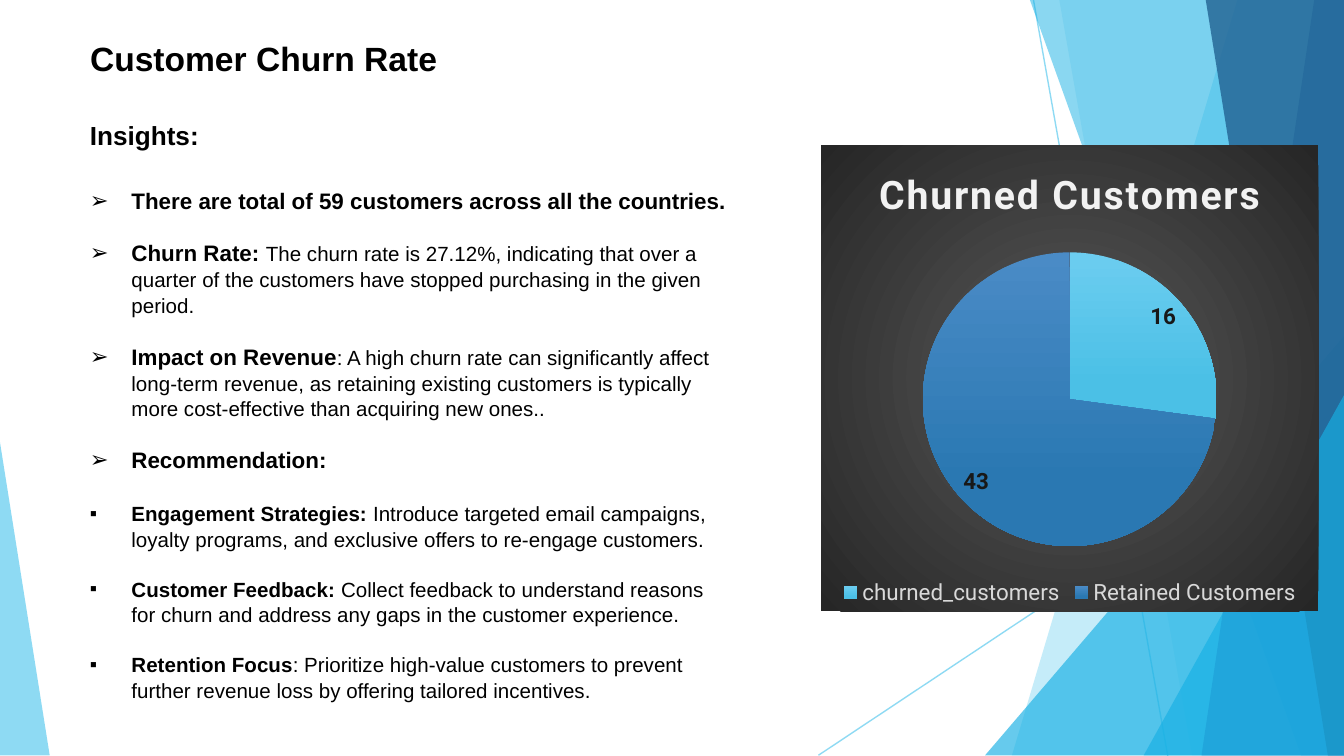
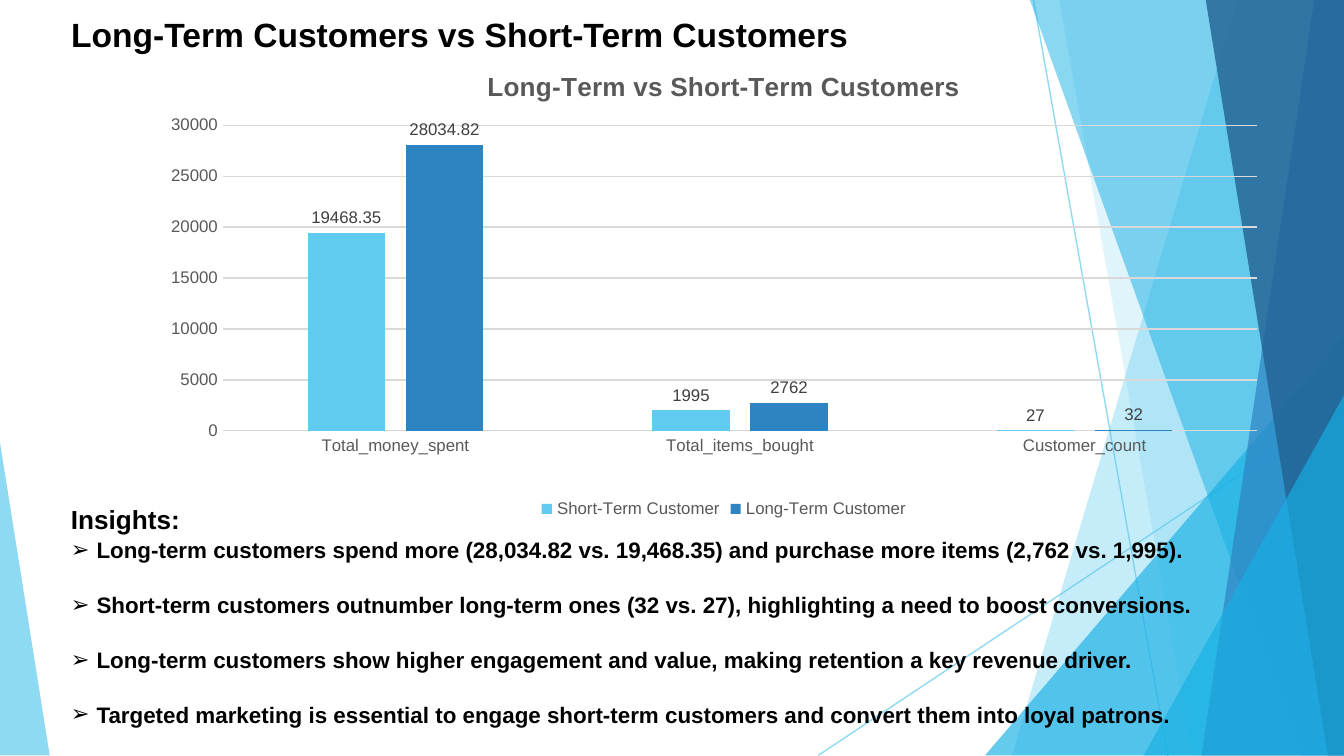
from dataclasses import dataclass
from typing import NamedTuple

from lxml.etree import SubElement
from pptx import Presentation
from pptx.chart.chart import Chart
from pptx.chart.data import CategoryChartData
from pptx.dml.color import RGBColor
from pptx.enum.chart import XL_CHART_TYPE, XL_LABEL_POSITION, XL_LEGEND_POSITION, XL_TICK_MARK
from pptx.enum.shapes import MSO_CONNECTOR, MSO_SHAPE
from pptx.enum.text import MSO_ANCHOR, PP_ALIGN
from pptx.oxml import parse_xml
from pptx.oxml.ns import nsdecls, qn
from pptx.slide import Slide, SlideLayout
from pptx.text.text import Font
from pptx.util import Inches, Pt

COLORS = {
    "black": "000000", "sky": "5FCBEF", "cyan": "17B0E4", "blue": "2E83C3",
    "navy": "226292", "gray": "595959", "dark": "262626", "label": "404040",
    "ink": "181818", "grid": "D9D9D9", "pale": "F2F2F2",
    "sky top": "6CCDF0", "sky low": "4BC0E6", "blue top": "4A8BC6", "blue low": "2A78B2",
}
SANS = "Arial"
ROBOTO = "Roboto"
WIDE, HIGH = 10, 5.62
TOP = -0.01
SPACING = 1.04


class Box(NamedTuple):
    left: float
    top: float
    width: float
    height: float

    def inches(self) -> list[int]:
        return [Inches(side) for side in self]


@dataclass
class Ray:
    start: tuple[float, float]
    end: tuple[float, float]
    color: str = "sky"
    alpha: int = 70


@dataclass
class Band:
    head: float
    foot: float
    color: str
    alpha: int


@dataclass
class Peak:
    box: Box
    tip: float
    color: str
    alpha: int


@dataclass
class Point:
    lead: str
    rest: str = ""
    size: int = 12
    gap: float = 13
    mark: str = "➢"


DECOR = [
    Ray((7.69, 0), (8.69, 5.63)),
    Ray((WIDE, 3.02), (6.09, HIGH)),
    Band(9.21, 7.53, "sky", 36),
    Band(7.88, 8.87, "sky", 20),
    Peak(Box(7.33, 2.5, 2.67, 3.12), 1, "cyan", 66),
    Band(7.66, 9.68, "cyan", 50),
    Band(9.78, 8.94, "blue", 70),
    Band(8.97, 9.88, "navy", 80),
    Peak(Box(8.51, 2.94, 1.49, 2.68), 1, "cyan", 66),
    Peak(Box(0, 3.29, 0.37, 2.33), 0, "sky", 70),
]

CHURN = [
    Point("There are total of 59 customers across all the countries.", gap=19),
    Point("Churn Rate: ", "The churn rate is 27.12%, indicating that over a quarter of the "
          "customers have stopped purchasing in the given period."),
    Point("Impact on Revenue", ": A high churn rate can significantly affect long-term revenue, as "
          "retaining existing customers is typically more cost-effective than acquiring new ones.."),
    Point("Recommendation:"),
    Point("Engagement Strategies: ", "Introduce targeted email campaigns, loyalty programs, and "
          "exclusive offers to re-engage customers.", 11, 14.4, "▪"),
    Point("Customer Feedback: ", "Collect feedback to understand reasons for churn and address any "
          "gaps in the customer experience.", 11, mark="▪"),
    Point("Retention Focus", ": Prioritize high-value customers to prevent further revenue loss by "
          "offering tailored incentives.", 11, mark="▪"),
]

TERMS = [
    Point("Long-term customers spend more (28,034.82 vs. 19,468.35) and purchase more items "
          "(2,762 vs. 1,995).", gap=0),
    Point("Short-term customers outnumber long-term ones (32 vs. 27), highlighting a need to boost "
          "conversions.", gap=14.4),
    Point("Long-term customers show higher engagement and value, making retention a key revenue "
          "driver.", gap=14.4),
    Point("Targeted marketing is essential to engage short-term customers and convert them into "
          "loyal patrons.", gap=14.4),
]


def rgb(name: str) -> RGBColor:
    return RGBColor.from_string(COLORS[name])


def style(font: Font, size: float, color: str = "black", bold: bool = False, face: str = SANS) -> None:
    font.name = face
    font.size = Pt(size)
    font.bold = bold
    font.color.rgb = rgb(color)


def add_ray(slide: Slide, ray: Ray):
    ends = [Inches(side) for side in ray.start + ray.end]
    line = slide.shapes.add_connector(MSO_CONNECTOR.STRAIGHT, *ends)
    line.line.color.rgb = rgb(ray.color)
    line.line.width = Pt(0.75)
    SubElement(line.element.spPr, qn("a:effectLst"))
    return line


def add_band(slide: Slide, band: Band):
    dots = [(band.head, TOP), (WIDE, TOP), (WIDE, HIGH), (band.foot, HIGH)]
    dots = [(Inches(x), Inches(y)) for x, y in dots]
    pen = slide.shapes.build_freeform(*dots[0])
    pen.add_line_segments(dots[1:])
    return pen.convert_to_shape()


def add_peak(slide: Slide, peak: Peak):
    shape = slide.shapes.add_shape(MSO_SHAPE.ISOSCELES_TRIANGLE, *peak.box.inches())
    shape.adjustments[0] = peak.tip
    return shape


def add_decor(slide: Slide, layout: SlideLayout) -> None:
    makers = {Ray: add_ray, Band: add_band, Peak: add_peak}
    for order, part in enumerate(DECOR):
        shape = makers[type(part)](slide, part)
        if not isinstance(part, Ray):
            shape.shadow.inherit = False
            shape.fill.solid()
            shape.fill.fore_color.rgb = rgb(part.color)
            shape.line.fill.background()
        node = shape.element
        tint = node.xpath("./p:spPr//a:srgbClr")[0]
        SubElement(tint, qn("a:alpha")).set("val", str(part.alpha * 1000))
        node.xpath(".//p:cNvPr")[0].set("id", str(100 + order))
        layout.shapes.element.insert(2 + order, node)


def add_title(slide: Slide, text: str, box: Box) -> None:
    title = slide.shapes.title
    title.left, title.top, title.width, title.height = box.inches()
    frame = title.text_frame
    frame.text = text
    frame.word_wrap = True
    frame.vertical_anchor = MSO_ANCHOR.TOP
    frame.paragraphs[0].alignment = PP_ALIGN.LEFT
    style(frame.paragraphs[0].runs[0].font, 18, bold=True)


def add_notes(slide: Slide, box: Box, points: list[Point], indent: float) -> None:
    frame = slide.shapes.add_textbox(*box.inches()).text_frame
    frame.word_wrap = True
    frame.text = "Insights:"
    head = frame.paragraphs[0]
    head.line_spacing = SPACING
    style(head.runs[0].font, 14, bold=True)
    for point in points:
        para = frame.add_paragraph()
        para.text = point.lead
        para.line_spacing = SPACING
        para.space_before = Pt(point.gap)
        style(para.runs[0].font, point.size, bold=True)
        if point.rest:
            run = para.add_run()
            run.text = point.rest
            style(run.font, 11)
        props = para._p.get_or_add_pPr()
        props.set("marL", str(Inches(indent)))
        props.set("indent", str(-Inches(indent)))
        SubElement(props, qn("a:buFont")).set("typeface", SANS)
        SubElement(props, qn("a:buChar")).set("char", point.mark)


def add_chart(slide: Slide, kind: XL_CHART_TYPE, box: Box, cats: list[str],
              series: dict[str, list[float]], face: str) -> Chart:
    data = CategoryChartData()
    data.categories = cats
    for name, values in series.items():
        data.add_series(name, values)
    chart = slide.shapes.add_chart(kind, *box.inches(), data).chart
    style(chart.font, 10, face=face)
    return chart


def set_title(chart: Chart, text: str, size: float, color: str, face: str) -> Font:
    chart.has_title = True
    frame = chart.chart_title.text_frame
    frame.text = text
    font = frame.paragraphs[0].runs[0].font
    style(font, size, color, True, face)
    chart.chart_title.include_in_layout = False
    return font


def set_legend(chart: Chart, size: float, color: str, face: str) -> None:
    chart.has_legend = True
    chart.legend.position = XL_LEGEND_POSITION.BOTTOM
    chart.legend.include_in_layout = False
    style(chart.legend.font, size, color, face=face)


def set_plot(chart: Chart, box: Box) -> None:
    area = chart.element.xpath(".//c:plotArea")[0]
    for old in area.findall(qn("c:layout")):
        area.remove(old)
    tags = [("layoutTarget", "inner"), ("xMode", "edge"), ("yMode", "edge"), *zip("xywh", box)]
    rows = "".join(f'<c:{tag} val="{val}"/>' for tag, val in tags)
    area.insert(0, parse_xml(
        f'<c:layout {nsdecls("c")}><c:manualLayout>{rows}</c:manualLayout></c:layout>'))


def set_glow(chart: Chart, inner: str, outer: str) -> None:
    stops = "".join(f'<a:gs pos="{pos}"><a:srgbClr val="{COLORS[name]}"/></a:gs>'
                    for pos, name in ((0, inner), (100000, outer)))
    chart.element.xpath("./c:chart")[0].addnext(parse_xml(
        f'<c:spPr {nsdecls("c", "a")}><a:gradFill><a:gsLst>{stops}</a:gsLst><a:path path="circle">'
        '<a:fillToRect l="50000" t="50000" r="50000" b="50000"/></a:path></a:gradFill>'
        '<a:ln><a:noFill/></a:ln></c:spPr>'))


def add_pie(slide: Slide) -> None:
    chart = add_chart(slide, XL_CHART_TYPE.PIE, Box(6.11, 1.08, 3.7, 3.47),
                      ["churned_customers", "Retained Customers"], {"Series 1": [16, 43]}, ROBOTO)
    font = set_title(chart, "Churned Customers", 21, "pale", ROBOTO)
    font._element.set("spc", "100")
    set_legend(chart, 12, "grid", ROBOTO)
    set_plot(chart, Box(0.2, 0.23, 0.6, 0.63))
    set_glow(chart, "gray", "dark")
    plot = chart.plots[0]
    plot.vary_by_categories = True
    for index, tone in enumerate(("sky", "blue")):
        fill = plot.series[0].points[index].format.fill
        fill.gradient()
        fill.gradient_angle = 270
        for stop, part, place in zip(fill.gradient_stops, ("top", "low"), (0, 0.78)):
            stop.color.rgb = rgb(f"{tone} {part}")
            stop.position = place
    labels = plot.series[0].data_labels
    labels.show_value = True
    labels.position = XL_LABEL_POSITION.BEST_FIT
    style(labels.font, 12, "ink", True, ROBOTO)


def add_bars(slide: Slide) -> None:
    chart = add_chart(slide, XL_CHART_TYPE.COLUMN_CLUSTERED, Box(1.2, 0.36, 8.37, 3.54),
                      ["Total_money_spent", "Total_items_bought", "Customer_count"],
                      {"Short-Term Customer": [19468.35, 1995, 27],
                       "Long-Term Customer": [28034.82, 2762, 32]}, SANS)
    set_title(chart, "Long-Term vs Short-Term Customers", 14, "gray", SANS)
    set_legend(chart, 9, "gray", SANS)
    set_plot(chart, Box(0.055, 0.162, 0.919, 0.642))
    plot = chart.plots[0]
    plot.vary_by_categories = False
    plot.gap_width, plot.overlap = 219, -27
    for series, color in zip(plot.series, ("sky", "blue")):
        series.format.fill.solid()
        series.format.fill.fore_color.rgb = rgb(color)
        series.data_labels.show_value = True
        series.data_labels.position = XL_LABEL_POSITION.OUTSIDE_END
        style(series.data_labels.font, 9, "label")
    cats, vals = chart.category_axis, chart.value_axis
    for axis in (cats, vals):
        axis.major_tick_mark = axis.minor_tick_mark = XL_TICK_MARK.NONE
        style(axis.tick_labels.font, 9, "gray")
    vals.minimum_scale, vals.maximum_scale, vals.major_unit = 0, 30000, 5000
    vals.format.line.fill.background()
    for line in (cats.format.line, vals.major_gridlines.format.line):
        line.color.rgb = rgb("grid")
        line.width = Pt(0.75)


def main() -> None:
    deck = Presentation()
    deck.slide_width, deck.slide_height = Inches(WIDE), Inches(5.625)
    layout = deck.slide_layouts[5]

    churn = deck.slides.add_slide(layout)
    add_decor(churn, layout)
    add_title(churn, "Customer Churn Rate", Box(0.57, 0.23, 6.3, 0.4))
    add_notes(churn, Box(0.57, 0.83, 4.97, 4.66), CHURN, 0.31)
    add_pie(churn)

    terms = deck.slides.add_slide(layout)
    add_title(terms, "Long-Term Customers vs Short-Term Customers", Box(0.43, 0.05, 6.85, 0.4))
    add_notes(terms, Box(0.43, 3.69, 9.26, 1.75), TERMS, 0.19)
    add_bars(terms)
    deck.save("out.pptx")


if __name__ == "__main__":
    main()
